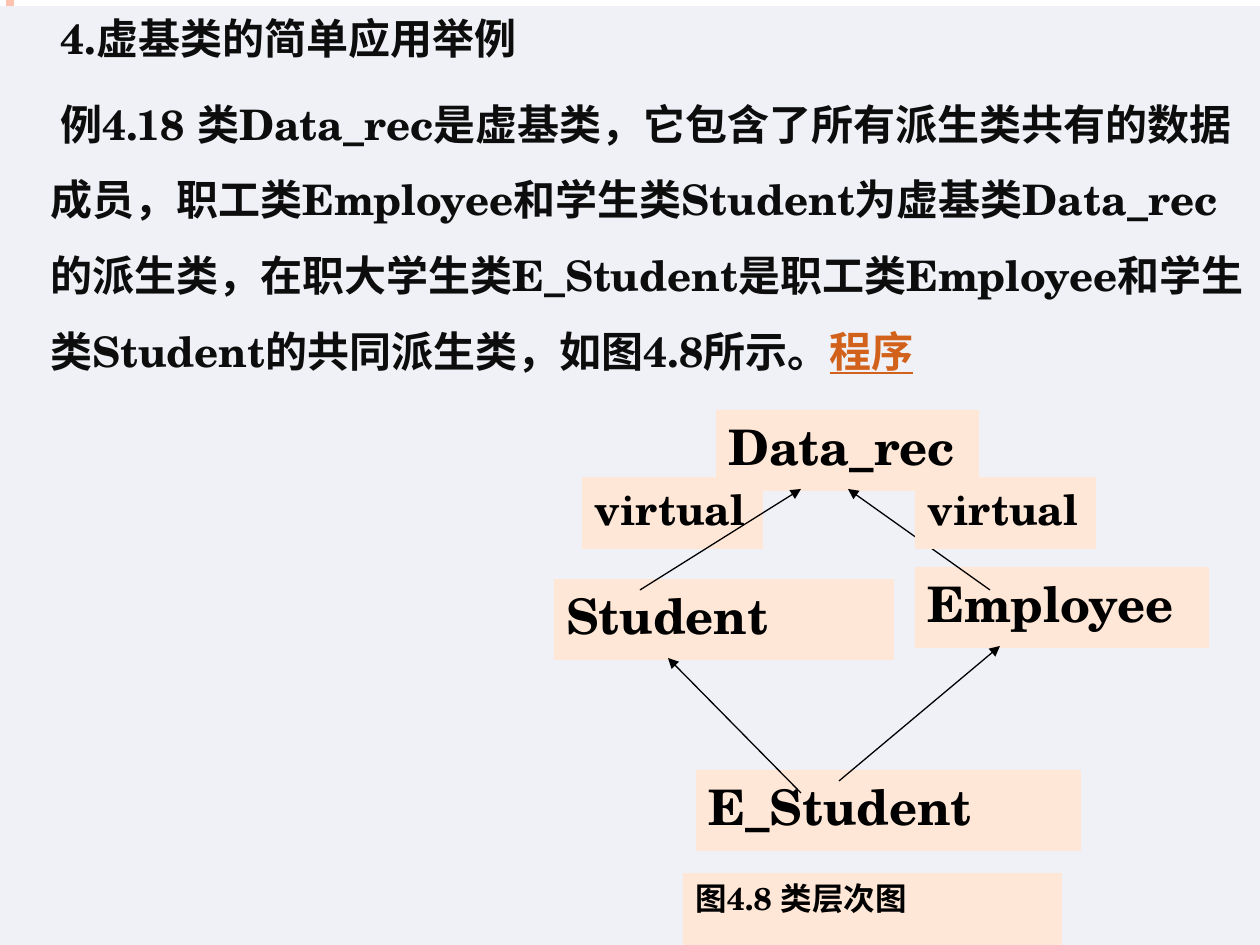
import pptx
import pptx.dml.color
import pptx.enum.shapes
import pptx.enum.text
import pptx.oxml.ns
import pptx.util
from lxml import etree


def rgb(value):
    return pptx.dml.color.RGBColor.from_string(value)


def px(n):
    return pptx.util.Emu(round(n * 914400 / 126))


class Deck:
    FONT = "TeX Gyre Schola"
    PANEL, NODE = "EFF1F7", "FFE7D7"
    INK, BLACK, LINK, EDGE = "0D0D0D", "000000", "D2611C", "FEC3AE"

    def __init__(self, prs):
        self.s = prs.slides.add_slide(prs.slide_layouts[6])

    def box(self, x, y, w, h, fill):
        """Add a filled rectangle and return its text frame."""
        sp = self.s.shapes.add_shape(
            pptx.enum.shapes.MSO_SHAPE.RECTANGLE, px(x), px(y), px(w), px(h))
        sp.shadow.inherit = False
        sp.fill.solid()
        sp.fill.fore_color.rgb = rgb(fill)
        sp.line.fill.background()
        tf = sp.text_frame
        tf.word_wrap = True
        tf.vertical_anchor = pptx.enum.text.MSO_ANCHOR.TOP
        return tf

    def put_text(self, p, text, size, color):
        r = p.add_run()
        r.text = text
        p.alignment = pptx.enum.text.PP_ALIGN.LEFT
        p.font.name = self.FONT
        p.font.size = pptx.util.Pt(size)
        p.font.bold = True
        p.font.color.rgb = rgb(color)

    def label(self, text, x, y, w, h, size):
        tf = self.box(x, y, w, h, self.NODE)
        self.put_text(tf.paragraphs[0], text, size, self.BLACK)

    def body(self, heading, text, link):
        tf = self.box(0, 6, 1270, 939, self.PANEL)
        first, second = tf.paragraphs[0], tf.add_paragraph()
        for p, words in ((first, heading), (second, text)):
            pPr = p._p.get_or_add_pPr()
            pPr.set("marL", str(px(38)))
            pPr.set("indent", str(px(10)))
            self.put_text(p, words, 24, self.INK)
        second.space_before = pptx.util.Pt(6)
        second.line_spacing = 1.5
        r = second.add_run()
        r.text = link
        r.font.underline = True
        r.font.color.rgb = rgb(self.LINK)

    def line(self, x1, y1, x2, y2, color, width, arrow=False):
        c = self.s.shapes.add_connector(
            pptx.enum.shapes.MSO_CONNECTOR.STRAIGHT,
            px(x1), px(y1), px(x2), px(y2))
        c.line.color.rgb = rgb(color)
        c.line.width = pptx.util.Pt(width)
        qn = pptx.oxml.ns.qn
        spPr = c._element.spPr
        if arrow:
            etree.SubElement(spPr.find(qn("a:ln")), qn("a:tailEnd"),
                             type="triangle")
        etree.SubElement(spPr, qn("a:effectLst"))

    def arrow(self, *ends):
        self.line(*ends, self.BLACK, 0.75, arrow=True)


def main():
    prs = pptx.Presentation()
    prs.slide_width, prs.slide_height = px(1260), px(945)
    d = Deck(prs)

    # Edge stripe and body text
    d.line(10, 0, 10, 945, d.EDGE, 4.5)
    d.body("4.虚基类的简单应用举例",
           "例4.18 类Data_rec是虚基类，它包含了所有派生类共有的数据成员，"
           "职工类Employee和学生类Student为虚基类Data_rec的派生类，"
           "在职大学生类E_Student是职工类Employee和学生类Student的共同派生类，"
           "如图4.8所示。", "程序")

    # Class nodes
    for name, x, y, w in (("Data_rec", 716, 410, 263),
                          ("Student", 554, 579, 340),
                          ("Employee", 915, 567, 294),
                          ("E_Student", 696, 770, 385)):
        d.label(name, x, y, w, 81, 28)

    # Inheritance arrows, with the right label covering its arrow
    d.label("virtual", 582, 477, 181, 72, 24)
    for ends in ((640, 590, 801, 489), (990, 590, 848, 489),
                 (801, 793, 668, 658), (839, 781, 1000, 646)):
        d.arrow(*ends)
    d.label("virtual", 915, 477, 181, 72, 24)

    # Caption
    d.label("图4.8 类层次图", 683, 873, 379, 72, 18)

    prs.save("out.pptx")


if __name__ == "__main__":
    main()
